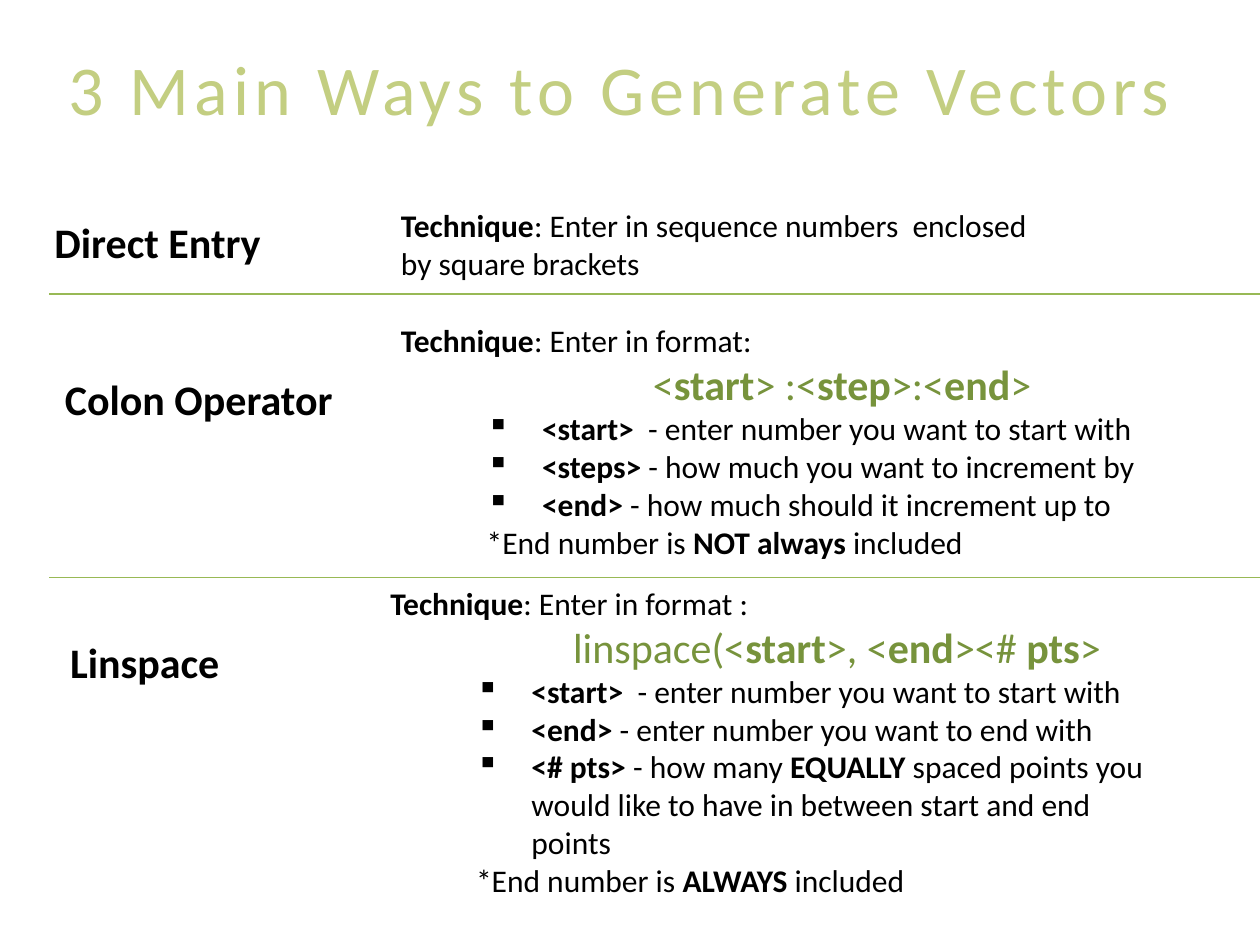
from lxml import etree
from pptx import Presentation
from pptx.dml.color import RGBColor
from pptx.enum.shapes import MSO_CONNECTOR
from pptx.enum.text import MSO_ANCHOR, PP_ALIGN
from pptx.oxml.ns import qn
from pptx.util import Inches, Pt

CENTER = PP_ALIGN.CENTER
MIDDLE = MSO_ANCHOR.MIDDLE
TOP = MSO_ANCHOR.TOP
STRAIGHT = MSO_CONNECTOR.STRAIGHT

FONT = "Calibri"
COLORS = {"title": "C3CE81", "text": "000000", "formula": "77933C", "rule": "98B955"}
WIDTH, HEIGHT = Inches(10), Inches(7.5)
COLUMNS, ROWS = 120, 90
LIST_INDENT = (1.12, -0.44)

# Asterisk pairs in these strings mark the bold runs.
LABELS = [
    ("Direct Entry", 4, 20, 30),
    ("Colon Operator", 5, 35, 30),
    ("Linspace", 5.5, 60, 30),
]
TECHNIQUES = [
    (37, 19, 63, 8.5, [
        ("lead", "**Technique**: Enter in sequence numbers  enclosed by square brackets"),
    ]),
    (37, 30, 75, 24, [
        ("lead", "**Technique**: Enter in format:"),
        ("colon", "<**start**> :<**step**>:<**end**>"),
        ("bullet", "**<start>  **- enter number you want to start with"),
        ("bullet", "**<steps> **- how much you want to increment by"),
        ("bullet", "**<end> **- how much should it increment up to"),
        ("note", "*End number is **NOT always **included"),
    ]),
    (36, 55, 77, 31.5, [
        ("lead", "**Technique**: Enter in format :"),
        ("linspace", "linspace(<**start**>, <**end**>\u003c# **pts**>"),
        ("bullet", "**<start>  **- enter number you want to start with"),
        ("bullet", "**<end>** - enter number you want to end with"),
        ("bullet", "**<# pts> **- how many **EQUALLY** spaced points you would like"
                   " to have in between start and end points"),
        ("note", "*End number is **ALWAYS** included"),
    ]),
]
STYLES = {
    "lead": (18, "text", (0, 0)),
    "colon": (24, "formula", (2, 0)),
    "linspace": (24, "formula", (1.45, 0)),
    "bullet": (18, "text", LIST_INDENT),
    "note": (18, "text", LIST_INDENT),
}


def across(columns):
    """Return the length of a number of grid columns."""
    return round(WIDTH * columns / COLUMNS)


def down(rows):
    """Return the length of a number of grid rows."""
    return round(HEIGHT * rows / ROWS)


def add_box(page, left, top, width, height, anchor=TOP):
    """Add a wrapping text box on the grid and return its text frame."""
    box = page.shapes.add_textbox(across(left), down(top), across(width), down(height))
    box.text_frame.word_wrap = True
    box.text_frame.vertical_anchor = anchor
    return box.text_frame


def add_span(para, text, size, color, bold=False):
    """Add one formatted run to a paragraph and return it."""
    span = para.add_run()
    span.text = text
    span.font.name = FONT
    span.font.size = Pt(size)
    span.font.bold = bold
    span.font.color.rgb = RGBColor.from_string(COLORS[color])
    return span


def indent(para, margin, first, bulleted):
    """Set the left margin, the first-line indent and the square bullet."""
    properties = para._p.get_or_add_pPr()
    properties.set("marL", str(Inches(margin)))
    properties.set("indent", str(Inches(first)))
    if bulleted:
        etree.SubElement(properties, qn("a:buChar")).set("char", "▪")
    else:
        etree.SubElement(properties, qn("a:buNone"))


def add_title(page, text):
    """Add the centred, letter-spaced title."""
    para = add_box(page, 5, 3, 108, 10.7, MIDDLE).paragraphs[0]
    para.alignment = CENTER
    span = add_span(para, text, 40, "title")
    span.font._element.set("spc", "300")


def add_label(page, text, left, top, width):
    """Add the bold name of one way."""
    frame = add_box(page, left, top, width, 6)
    add_span(frame.paragraphs[0], text, 24, "text", True)


def add_technique(page, left, top, width, height, lines):
    """Add the explanation of one way, one paragraph a line."""
    frame = add_box(page, left, top, width, height)
    for number, (kind, text) in enumerate(lines):
        para = frame.add_paragraph() if number else frame.paragraphs[0]
        size, color, (margin, first) = STYLES[kind]
        indent(para, margin, first, kind == "bullet")
        for position, part in enumerate(text.split("**")):
            if part:
                add_span(para, part, size, color, position % 2 == 1)


def add_rule(page, row):
    """Add a thin divider that runs to the right edge."""
    rule = page.shapes.add_connector(STRAIGHT, across(4.7), down(row), WIDTH, down(row))
    rule.line.color.rgb = RGBColor.from_string(COLORS["rule"])
    rule.line.width = Pt(0.75)
    etree.SubElement(rule._element.spPr, qn("a:effectLst"))


def main():
    """Build the slide and save the deck."""
    deck = Presentation()
    deck.slide_width, deck.slide_height = WIDTH, HEIGHT
    page = deck.slides.add_slide(deck.slide_layouts[6])
    add_title(page, "3 Main Ways to Generate Vectors")
    for technique in TECHNIQUES:
        add_technique(page, *technique)
    for row in (28, 55):
        add_rule(page, row)
    for label in LABELS:
        add_label(page, *label)
    deck.save("out.pptx")


if __name__ == "__main__":
    main()
